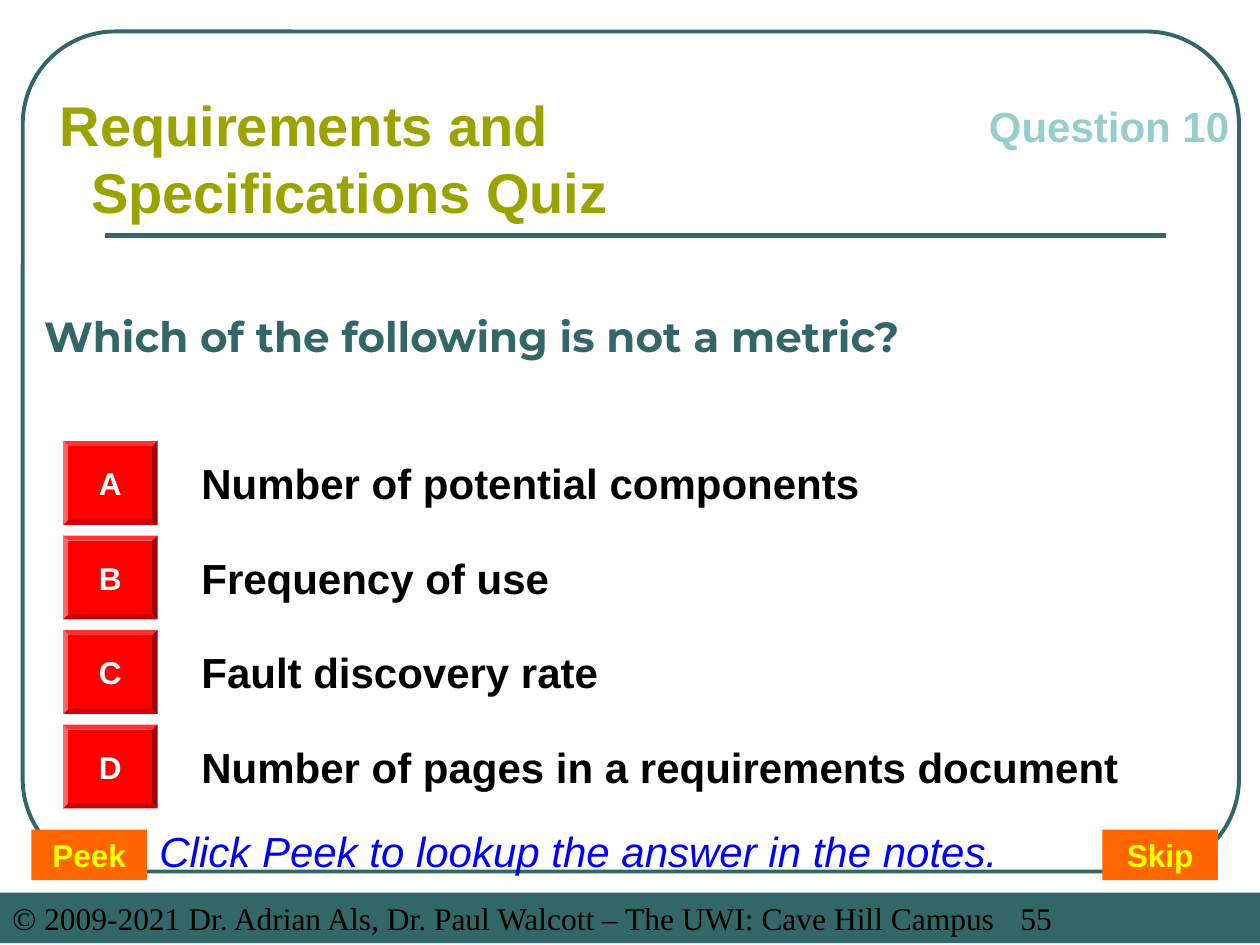
from dataclasses import dataclass

from lxml.etree import SubElement
from pptx import Presentation
from pptx.dml.color import RGBColor
from pptx.enum.shapes import MSO_CONNECTOR, MSO_SHAPE
from pptx.enum.text import MSO_ANCHOR, MSO_AUTO_SIZE, PP_ALIGN
from pptx.oxml.ns import qn
from pptx.util import Pt


@dataclass(frozen=True)
class Theme:
    teal: str = "336666"
    pale_teal: str = "97CDCC"
    olive: str = "9BA301"
    red: str = "FF0000"
    orange: str = "FF6600"
    yellow: str = "FFFF00"
    blue: str = "0000FF"
    black: str = "000000"
    white: str = "FFFFFF"
    heading_size: int = 32
    body_size: int = 24
    small_size: int = 18
    body_font: str = "Arial"
    question_font: str = "Montserrat"
    footer_font: str = "Times New Roman"


THEME = Theme()
ANSWERS = [
    "Number of potential components",
    "Frequency of use",
    "Fault discovery rate",
    "Number of pages in a requirements document",
]


def color(value):
    return RGBColor.from_string(value)


def write_text(shape, text, size, text_color, name=THEME.body_font, bold=True,
               italic=False, align=PP_ALIGN.LEFT, anchor=MSO_ANCHOR.TOP, wrap=True):
    """Fill a shape with one formatted paragraph and return the paragraph."""
    frame = shape.text_frame
    frame.word_wrap = wrap
    frame.auto_size = MSO_AUTO_SIZE.NONE
    frame.vertical_anchor = anchor
    paragraph = frame.paragraphs[0]
    paragraph.text = text
    paragraph.alignment = align
    font = paragraph.font
    font.name, font.size = name, Pt(size)
    font.bold, font.italic = bold, italic
    font.color.rgb = color(text_color)
    return paragraph


def set_paragraph_layout(paragraph, left=0, first_line=0, right_tab=None):
    """Set indents and, if given, a right-aligned tab stop, in points."""
    properties = paragraph._p.get_or_add_pPr()
    properties.set("marL", str(Pt(left)))
    properties.set("indent", str(Pt(first_line)))
    if right_tab is not None:
        tabs = SubElement(properties, qn("a:tabLst"))
        SubElement(tabs, qn("a:tab"), pos=str(Pt(right_tab)), algn="r")
        default_run = properties.find(qn("a:defRPr"))
        if default_run is not None:
            default_run.addprevious(tabs)


def add_label(slide, left, top, width, height, text, size, text_color, **style):
    box = slide.shapes.add_textbox(Pt(left), Pt(top), Pt(width), Pt(height))
    return write_text(box, text, size, text_color, **style)


def add_filled_shape(slide, kind, left, top, width, height, fill):
    shape = slide.shapes.add_shape(kind, Pt(left), Pt(top), Pt(width), Pt(height))
    shape.shadow.inherit = False
    shape.fill.solid()
    shape.fill.fore_color.rgb = color(fill)
    shape.line.fill.background()
    return shape


def add_frame(slide):
    """Draw the rounded border and the rule below the heading."""
    border = slide.shapes.add_shape(
        MSO_SHAPE.ROUNDED_RECTANGLE, Pt(13), Pt(18), Pt(695), Pt(480))
    border.adjustments[0] = 0.11
    border.shadow.inherit = False
    border.fill.background()
    border.line.color.rgb = color(THEME.teal)
    border.line.width = Pt(2.25)

    rule = slide.shapes.add_connector(
        MSO_CONNECTOR.STRAIGHT, Pt(60), Pt(134.6), Pt(666), Pt(134.6))
    rule.line.color.rgb = color(THEME.teal)
    rule.line.width = Pt(3)
    SubElement(rule._element.spPr, qn("a:effectLst"))


def add_footer(slide):
    band = add_filled_shape(slide, MSO_SHAPE.RECTANGLE, 0, 510, 720, 29, THEME.teal)
    paragraph = write_text(
        band, "© 2009-2021 Dr. Adrian Als, Dr. Paul Walcott – The UWI: Cave Hill Campus\t55",
        THEME.small_size, THEME.black, name=THEME.footer_font, bold=False)
    set_paragraph_layout(paragraph, right_tab=697.5)


def add_question(slide, text):
    title = slide.shapes.title
    title.left, title.top = Pt(18), Pt(138)
    title.width, title.height = Pt(684), Pt(108)
    write_text(title, text, THEME.body_size, THEME.teal,
               name=THEME.question_font, anchor=MSO_ANCHOR.MIDDLE)


def add_answer(slide, letter, text, top):
    button = add_filled_shape(slide, MSO_SHAPE.BEVEL, 36, top, 54, 48, THEME.red)
    button.adjustments[0] = 0.0625
    write_text(button, letter, THEME.small_size, THEME.white,
               align=PP_ALIGN.CENTER, anchor=MSO_ANCHOR.MIDDLE, wrap=False)
    add_label(slide, 108, top + 6, 594, 36, text, THEME.body_size, THEME.black)


def add_navigation_button(slide, text, left):
    button = add_filled_shape(slide, MSO_SHAPE.RECTANGLE, left, 474, 66, 29, THEME.orange)
    write_text(button, text, THEME.small_size, THEME.yellow, align=PP_ALIGN.CENTER)


def main():
    presentation = Presentation()
    presentation.slide_width, presentation.slide_height = Pt(720), Pt(540)
    slide = presentation.slides.add_slide(presentation.slide_layouts[5])

    # Border, rule and footer band
    add_frame(slide)
    add_footer(slide)

    # Heading and question
    heading = add_label(slide, 18, 48, 468, 84, "Requirements and Specifications Quiz",
                        THEME.heading_size, THEME.olive)
    set_paragraph_layout(heading, left=27, first_line=-18)
    add_label(slide, 558, 54, 162, 36, "Question 10", THEME.body_size, THEME.pale_teal)
    add_question(slide, "Which of the following is not a metric?")

    # Answers, evenly spaced
    for index, (letter, answer) in enumerate(zip("ABCD", ANSWERS)):
        add_answer(slide, letter, answer, top=252 + 54 * index)

    # Navigation and hint
    add_navigation_button(slide, "Peek", 18)
    add_navigation_button(slide, "Skip", 630)
    add_label(slide, 84, 468, 516, 36, "Click Peek to lookup the answer in the notes.",
              THEME.body_size, THEME.blue, bold=False, italic=True)

    presentation.save("out.pptx")


if __name__ == "__main__":
    main()
